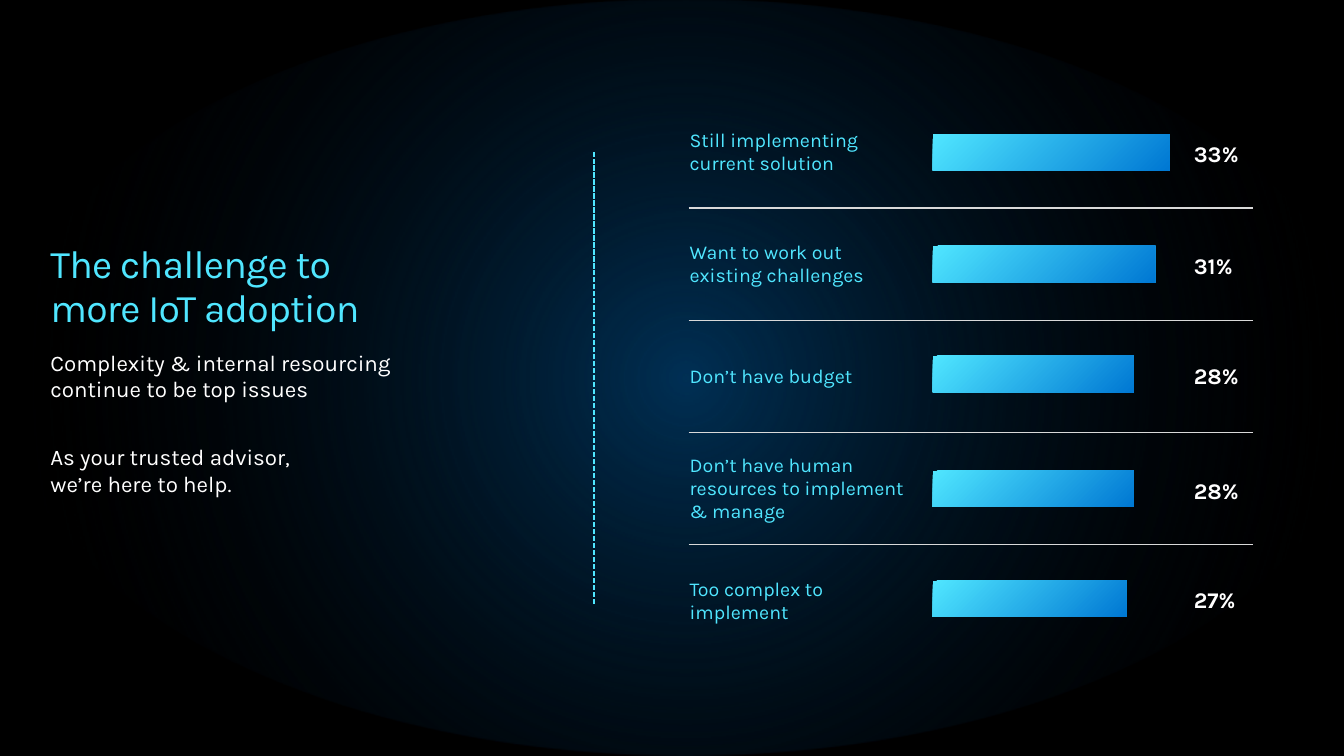
from lxml import etree
from pptx import Presentation, util as u
from pptx.dml.color import RGBColor
from pptx.enum import shapes, text, dml
from pptx.oxml import parse_xml
from pptx.oxml.ns import qn

NS = 'xmlns:a="http://schemas.openxmlformats.org/drawingml/2006/main"'
C = {"cyan": "50E6FF", "blue": "0078D3", "glow": "003C6A",
     "rule": "D9D9D9", "white": "FFFFFF", "black": "000000"}
NO_GRID = "{2D5ABB26-0587-4C30-8999-92F81FD0307C}"

# label, percent, top of bar
reasons = [("Still implementing\ncurrent solution", 33, 1.33),
           ("Want to work out existing challenges", 31, 2.44),
           ("Don’t have budget", 28, 3.53),
           ("Don’t have human resources to implement & manage", 28, 4.67),
           ("Too complex to implement", 27, 5.76)]
table_left, table_top, row_h = 6.83, 0.95, 1.114
label_w, chart_w = 2.15, 3.45
bar_left, bar_h, inch_per_percent = 9.25, 0.36, 2.35 / 33


def write(tf, words, size=16, color="white", bold=False, spacing=None,
          after=0, anchor=text.MSO_ANCHOR.TOP):
    """Fill a text frame with one left-aligned paragraph and no margins."""
    tf.word_wrap = True
    tf.auto_size = text.MSO_AUTO_SIZE.NONE
    tf.vertical_anchor = anchor
    tf.margin_left = tf.margin_right = tf.margin_top = tf.margin_bottom = 0
    p = tf.paragraphs[0]
    p.text = words
    p.alignment = text.PP_ALIGN.LEFT
    p.line_spacing = spacing
    p.space_after = u.Pt(after)
    for r in p.runs:
        r.font.name, r.font.size, r.font.bold = "Karla", u.Pt(size), bold
        r.font.color.rgb = RGBColor.from_string(C[color])


def add_gradient_shape(kind, box, stops, direction):
    """Add a borderless shape; stops are (position, colour, opacity) in percent."""
    sp = s.shapes.add_shape(kind, *map(u.Inches, box))
    sp.shadow.inherit = False
    sp.line.fill.background()
    sp.fill.background()
    gs = "".join(f'<a:gs pos="{pos * 1000}"><a:srgbClr val="{C[color]}">'
                 f'<a:alpha val="{alpha * 1000}"/></a:srgbClr></a:gs>'
                 for pos, color, alpha in stops)
    no_fill = sp.element.spPr.find(qn("a:noFill"))
    no_fill.getparent().replace(no_fill, parse_xml(
        f'<a:gradFill {NS} rotWithShape="1"><a:gsLst>{gs}</a:gsLst>{direction}</a:gradFill>'))
    return sp


prs = Presentation()
prs.slide_width, prs.slide_height = u.Inches(13.33), u.Inches(7.5)
s = prs.slides.add_slide(prs.slide_layouts[5])
s.background.fill.solid()
s.background.fill.fore_color.rgb = RGBColor.from_string(C["black"])

# Glow, behind everything
glow = add_gradient_shape(
    shapes.MSO_SHAPE.OVAL, (0, 0, 13.6, 7.5), [(0, "glow", 80), (90, "black", 0)],
    '<a:path path="circle"><a:fillToRect l="50000" t="50000" r="50000" b="50000"/></a:path>')
s.shapes.element.insert(2, glow.element)

# Left column
title = s.shapes.title
title.left, title.top, title.width, title.height = map(u.Inches, (0.5, 2.4, 3.62, 0.87))
write(title.text_frame, "The challenge to more IoT adoption", size=28, color="cyan",
      spacing=u.Pt(31.4))
for r in title.text_frame.paragraphs[0].runs:
    r.font.element.set("spc", "-50") if hasattr(r.font, "element") else r._r.get_or_add_rPr().set("spc", "-50")
for words, box in [
        ("Complexity & internal resourcing\ncontinue to be top issues", (0.5, 3.46, 3.52, 0.54)),
        ("As your trusted advisor,\nwe’re here to help.", (0.5, 4.4, 5.83, 0.81))]:
    write(s.shapes.add_textbox(*map(u.Inches, box)).text_frame, words)

# Table of reasons
frame = s.shapes.add_table(len(reasons), 2, *map(u.Inches, (
    table_left, table_top, label_w + chart_w, row_h * len(reasons))))
table = frame.table
table.first_row = table.horz_banding = False
frame.element.find(".//" + qn("a:tableStyleId")).text = NO_GRID
for col, width in zip(table.columns, (label_w, chart_w)):
    col.width = u.Inches(width)
for i, (label, percent, top) in enumerate(reasons):
    table.rows[i].height = u.Inches(row_h)
    for cell in table.rows[i].cells:
        cell.fill.background()
        cell.vertical_anchor = text.MSO_ANCHOR.MIDDLE
        cell.margin_left = cell.margin_right = cell.margin_top = u.Inches(0.01)
        cell.margin_bottom = 0
        if i < len(reasons) - 1:
            cell.fill._xPr.insert(0, parse_xml(
                f'<a:lnB {NS} w="12700"><a:solidFill><a:srgbClr val="{C["rule"]}"/>'
                '</a:solidFill></a:lnB>'))
    label_cell = table.cell(i, 0)
    p = label_cell.text_frame.paragraphs[0]
    p.text = label
    for r in p.runs:
        r.font.name, r.font.size = "Karla", u.Pt(14)
        r.font.color.rgb = RGBColor.from_string(C["cyan"])

# Bars and their values
for label, percent, top in reasons:
    add_gradient_shape(shapes.MSO_SHAPE.RECTANGLE,
                       (bar_left, top, percent * inch_per_percent, bar_h),
                       [(0, "cyan", 100), (100, "blue", 100)],
                       '<a:lin ang="2700000" scaled="0"/>')
    value = s.shapes.add_textbox(*map(u.Inches, (11.84, top, 0.58, bar_h)))
    write(value.text_frame, f"{percent}%", bold=True, spacing=1.1, after=3,
          anchor=text.MSO_ANCHOR.MIDDLE)

# Dashed divider
divider = s.shapes.add_connector(shapes.MSO_CONNECTOR.STRAIGHT,
                                 *map(u.Inches, (5.89, 5.99, 5.89, 1.51)))
divider.line.width = u.Pt(1.25)
divider.line.color.rgb = RGBColor.from_string(C["cyan"])
divider.line.dash_style = dml.MSO_LINE.SQUARE_DOT
etree.SubElement(divider.element.spPr, qn("a:effectLst"))

prs.save("out.pptx")
